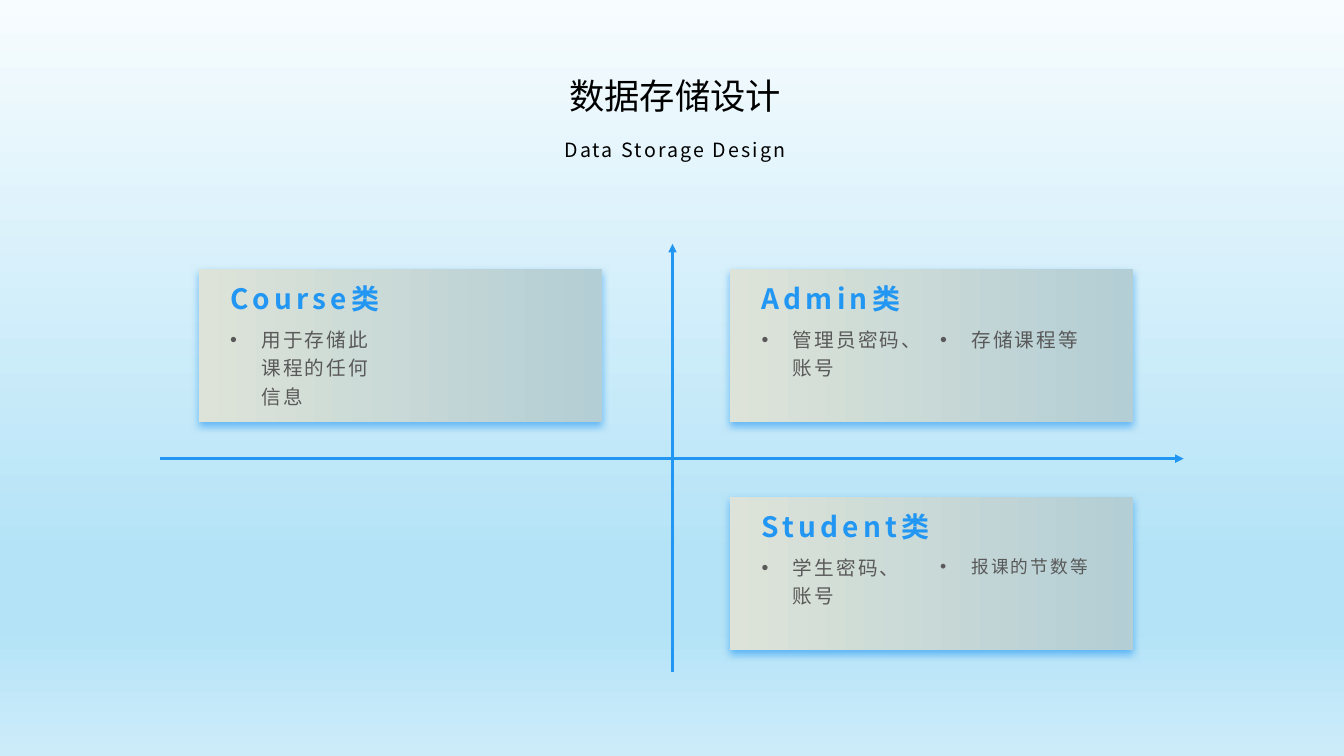
from dataclasses import dataclass

import pptx
import pptx.dml.color
import pptx.enum.shapes
import pptx.enum.text
import pptx.oxml
import pptx.oxml.ns
import pptx.util
from pptx.util import Inches

qn = pptx.oxml.ns.qn
ALIGN = pptx.enum.text.PP_ALIGN
ANCHOR = pptx.enum.text.MSO_ANCHOR


@dataclass(frozen=True)
class Theme:
    accent: str = "2196F3"
    black: str = "000000"
    body: str = "595959"
    sky: tuple = ((0, "F7FCFE"), (74, "B4E3F7"), (83, "B4E3F7"), (100, "CDECFA"))
    card: tuple = ((0, "DDE3D8"), (100, "B3CED5"))
    latin: str = "Arial"
    cjk: str = "Noto Sans CJK SC"
    title_size: float = 25.2
    heading_size: float = 20
    body_size: float = 14
    small_size: float = 12.6


THEME = Theme()
CARD_WIDTH, CARD_HEIGHT = 4, 1.52
LEFT_COLUMN, RIGHT_COLUMN = 1.97, 7.24
TOP_ROW, BOTTOM_ROW = 2.67, 4.93
CARDS = [
    (RIGHT_COLUMN, TOP_ROW, "Admin类",
     [("管理员密码、账号", THEME.body_size), ("存储课程等", THEME.body_size)]),
    (LEFT_COLUMN, TOP_ROW, "Course类", [("用于存储此课程的任何信息", THEME.body_size)]),
    (RIGHT_COLUMN, BOTTOM_ROW, "Student类",
     [("学生密码、账号", THEME.body_size), ("报课的节数等", THEME.small_size)]),
]


def add_xml(parent, tag, **attributes):
    child = pptx.oxml.parse_xml(f"<{tag} {pptx.oxml.ns.nsdecls('a')}/>")
    for key, value in attributes.items():
        child.set(key, str(value))
    parent.append(child)
    return child


def set_gradient(fill, owner, stops, angle):
    """Fill with (percent, colour) stops; the angle runs clockwise in degrees."""
    fill.gradient()
    gradient = next(owner.iter(qn("a:gradFill")))
    for child in list(gradient):
        gradient.remove(child)
    stop_list = add_xml(gradient, "a:gsLst")
    for percent, colour in stops:
        stop = add_xml(stop_list, "a:gs", pos=percent * 1000)
        add_xml(stop, "a:srgbClr", val=colour)
    add_xml(gradient, "a:lin", ang=angle * 60000, scaled=0)


def add_label(slide, text, box, size, colour, spacing=0, font=THEME.cjk, bold=False,
              align=ALIGN.LEFT, anchor=ANCHOR.TOP, bottom_inset=0.05, bullet=False):
    frame = slide.shapes.add_textbox(*map(Inches, box)).text_frame
    frame.word_wrap = True
    frame.vertical_anchor = anchor
    frame.margin_bottom = Inches(bottom_inset)
    paragraph = frame.paragraphs[0]
    paragraph.text = text
    paragraph.alignment = align
    paragraph.line_spacing = 1.2
    if bullet:
        properties = paragraph._p.get_or_add_pPr()
        properties.set("marL", str(Inches(0.31)))
        properties.set("indent", str(-Inches(0.31)))
        add_xml(properties, "a:buFont", typeface=THEME.latin)
        add_xml(properties, "a:buChar", char="•")
    run = paragraph.runs[0]
    run.font.size = pptx.util.Pt(size)
    run.font.bold = bold
    run.font.name = font
    run.font.color.rgb = pptx.dml.color.RGBColor.from_string(colour)
    run_properties = run._r.get_or_add_rPr()
    run_properties.set("spc", str(int(spacing * 100)))
    add_xml(run_properties, "a:ea", typeface=THEME.cjk)


def add_axis(slide, start, end):
    axis = slide.shapes.add_connector(
        pptx.enum.shapes.MSO_CONNECTOR.STRAIGHT, *map(Inches, start + end))
    axis.line.color.rgb = pptx.dml.color.RGBColor.from_string(THEME.accent)
    axis.line.width = pptx.util.Pt(2)
    add_xml(axis.line._get_or_add_ln(), "a:tailEnd", type="triangle")
    add_xml(axis._element.spPr, "a:effectLst")


def add_card_panel(slide, left, top):
    panel = slide.shapes.add_shape(
        pptx.enum.shapes.MSO_SHAPE.RECTANGLE,
        *map(Inches, (left, top, CARD_WIDTH, CARD_HEIGHT)))
    set_gradient(panel.fill, panel._element.spPr, THEME.card, 0)
    panel.line.fill.background()
    panel.shadow.inherit = False
    effects = panel._element.spPr.find(qn("a:effectLst"))
    glow = add_xml(effects, "a:outerShdw", blurRad=pptx.util.Pt(6), dist=pptx.util.Pt(3),
                   dir=90 * 60000, algn="t", rotWithShape=0)
    colour = add_xml(glow, "a:srgbClr", val=THEME.accent)
    add_xml(colour, "a:alpha", val=60000)


def add_card(slide, left, top, heading, points):
    add_card_panel(slide, left, top)
    text_left = left + 0.215
    add_label(slide, heading, (text_left, top, 2.34, 0.46), THEME.heading_size,
              THEME.accent, spacing=3, bold=True, anchor=ANCHOR.BOTTOM, bottom_inset=0)
    for column, (point, size) in enumerate(points):
        add_label(slide, point, (text_left + column * 1.77, top + 0.49, 1.75, 0.68),
                  size, THEME.body, spacing=1.5, bullet=True)


def main():
    presentation = pptx.Presentation()
    presentation.slide_width, presentation.slide_height = Inches(13.33), Inches(7.5)
    slide = presentation.slides.add_slide(presentation.slide_layouts[6])
    set_gradient(slide.background.fill, slide._element, THEME.sky, 90)
    add_label(slide, "数据存储设计", (0.49, 0.6, 12.41, 0.64), THEME.title_size,
              THEME.black, font=THEME.latin, align=ALIGN.CENTER)
    add_label(slide, "Data Storage Design", (0.49, 1.27, 12.41, 0.39), THEME.body_size,
              THEME.black, spacing=1.5, align=ALIGN.CENTER)
    add_axis(slide, (1.59, 4.55), (11.74, 4.55))
    add_axis(slide, (6.67, 6.67), (6.67, 2.42))
    for card in CARDS:
        add_card(slide, *card)
    presentation.save("out.pptx")


if __name__ == "__main__":
    main()
